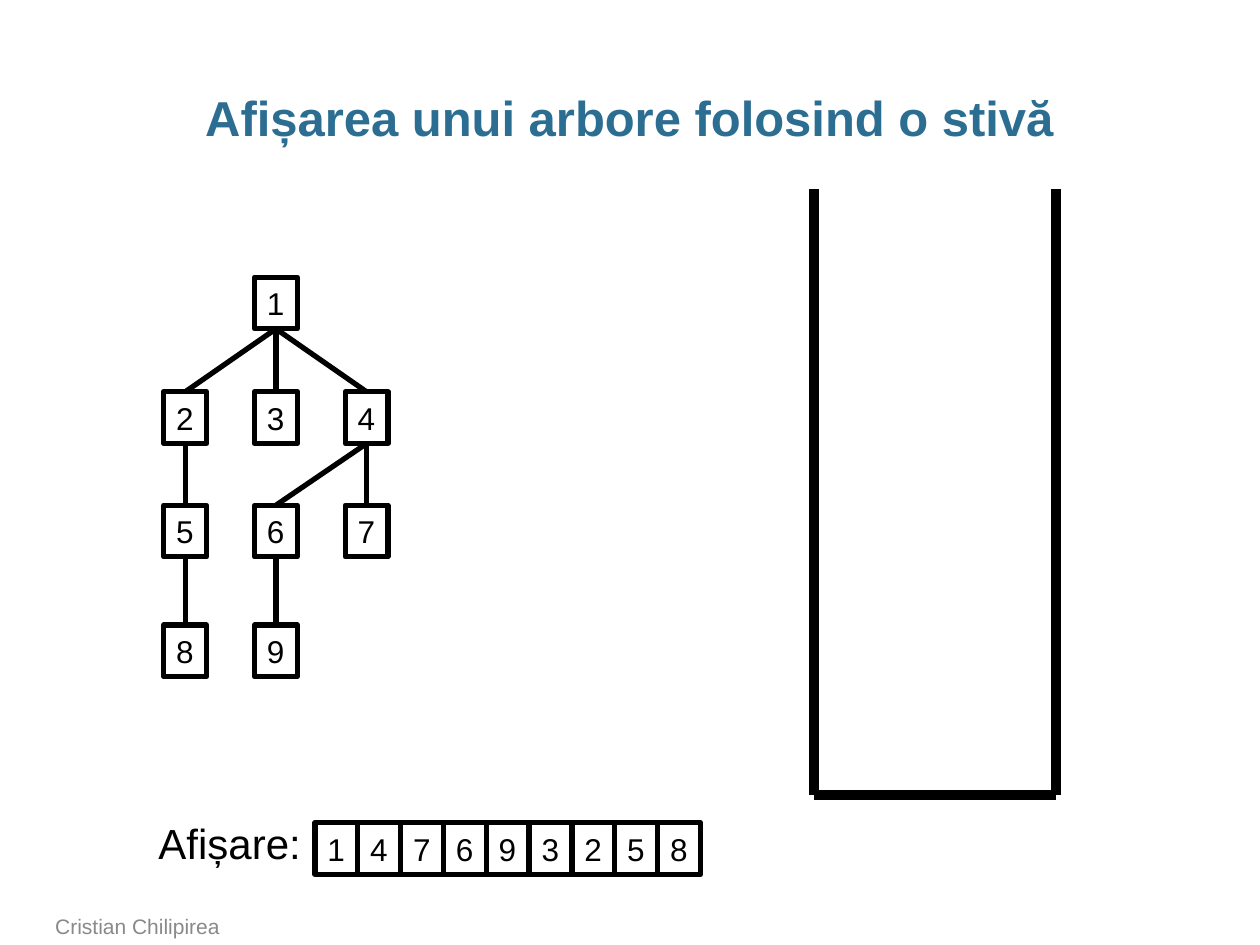
from dataclasses import dataclass

from lxml.etree import SubElement
from pptx import Presentation
from pptx.dml.color import RGBColor as RGB
from pptx.enum.shapes import MSO_CONNECTOR as Link, MSO_SHAPE as Shape
from pptx.enum.text import MSO_ANCHOR as Anchor, MSO_AUTO_SIZE as Fit, PP_ALIGN as Align
from pptx.oxml.ns import qn
from pptx.util import Pt

SCALE = 9144


def px(*vals):
    return [val * SCALE for val in vals]


@dataclass(frozen=True)
class Theme:
    font: str = "Arial"
    ink: RGB = RGB(0, 0, 0)
    blue: RGB = RGB(0x2C, 0x6D, 0x92)
    gray: RGB = RGB(0x89, 0x89, 0x89)
    head: int = 28
    label: int = 24
    node: int = 18
    foot: int = 12
    thin: float = 3
    thick: float = 5.5


class Deck:
    """Draws styled elements on the current slide."""

    def __init__(self, theme):
        self.theme = theme
        self.prs = Presentation()
        self.prs.slide_width, self.prs.slide_height = px(1000, 750)
        self.slide = self.prs.slides.add_slide(self.prs.slide_layouts[5])
        self.shapes = self.slide.shapes

    def fill_text(self, frame, text, size, color, bold=False):
        frame.text = text
        font = frame.paragraphs[0].runs[0].font
        font.name, font.size, font.bold = self.theme.font, Pt(size), bold
        font.color.rgb = color

    def title(self, text, *box):
        shape = self.shapes.title
        shape.left, shape.top, shape.width, shape.height = px(*box)
        frame = shape.text_frame
        frame.auto_size = Fit.NONE
        frame.vertical_anchor = Anchor.TOP
        frame.margin_left = frame.margin_right = 0
        frame.margin_top, frame.margin_bottom = px(5, 5)
        self.fill_text(frame, text, self.theme.head, self.theme.blue, True)
        frame.paragraphs[0].alignment = Align.CENTER
        frame.paragraphs[0].line_spacing = 0.95

    def label(self, text, box, size, color, anchor=Anchor.TOP, wrap=True):
        frame = self.shapes.add_textbox(*px(*box)).text_frame
        frame.word_wrap = wrap
        frame.auto_size = Fit.NONE if wrap else Fit.SHAPE_TO_FIT_TEXT
        frame.vertical_anchor = anchor
        self.fill_text(frame, text, size, color)

    def node(self, text, left, top):
        shape = self.shapes.add_shape(Shape.RECTANGLE, *px(left, top, 34, 41))
        shape.shadow.inherit = False
        shape.fill.background()
        shape.line.color.rgb = self.theme.ink
        shape.line.width = Pt(self.theme.thin)
        frame = shape.text_frame
        frame.word_wrap = False
        frame.vertical_anchor = Anchor.MIDDLE
        self.fill_text(frame, text, self.theme.node, self.theme.ink)
        return shape

    def line(self, ends, width):
        line = self.shapes.add_connector(Link.STRAIGHT, *px(*ends))
        line.line.color.rgb = self.theme.ink
        line.line.width = Pt(width)
        SubElement(line._element.spPr, qn("a:effectLst"))
        return line

    def join(self, parent, child):
        line = self.line((0, 0, 0, 0), self.theme.thin)
        line.begin_connect(parent, 2)
        line.end_connect(child, 0)


def main():
    theme = Theme()
    deck = Deck(theme)
    deck.title("Afișarea unui arbore folosind o stivă", 34, 68, 931, 50)
    deck.label("Cristian Chilipirea", (34, 722, 737, 28), theme.foot, theme.gray, Anchor.BOTTOM)
    deck.label("Afișare:", (116, 644, 134, 50), theme.label, theme.ink, wrap=False)

    left, right, top, base = 646, 838, 150, 631
    for ends in ((left, top, left, base), (right, top, right, base), (right, base, left, base)):
        deck.line(ends, theme.thick)

    cols = (130, 202, 274)
    levels = ((220, " 1 "), (311, "234"), (401, "567"), (496, "89 "))
    nodes = {
        name: deck.node(name, x, y)
        for y, names in levels
        for x, name in zip(cols, names)
        if name != " "
    }
    for parent, child in ("12", "13", "14", "25", "46", "47", "58", "69"):
        deck.join(nodes[parent], nodes[child])

    for i, name in enumerate("147693258"):
        deck.node(name, 250 + 34 * i, 653)

    deck.prs.save("out.pptx")


if __name__ == "__main__":
    main()
